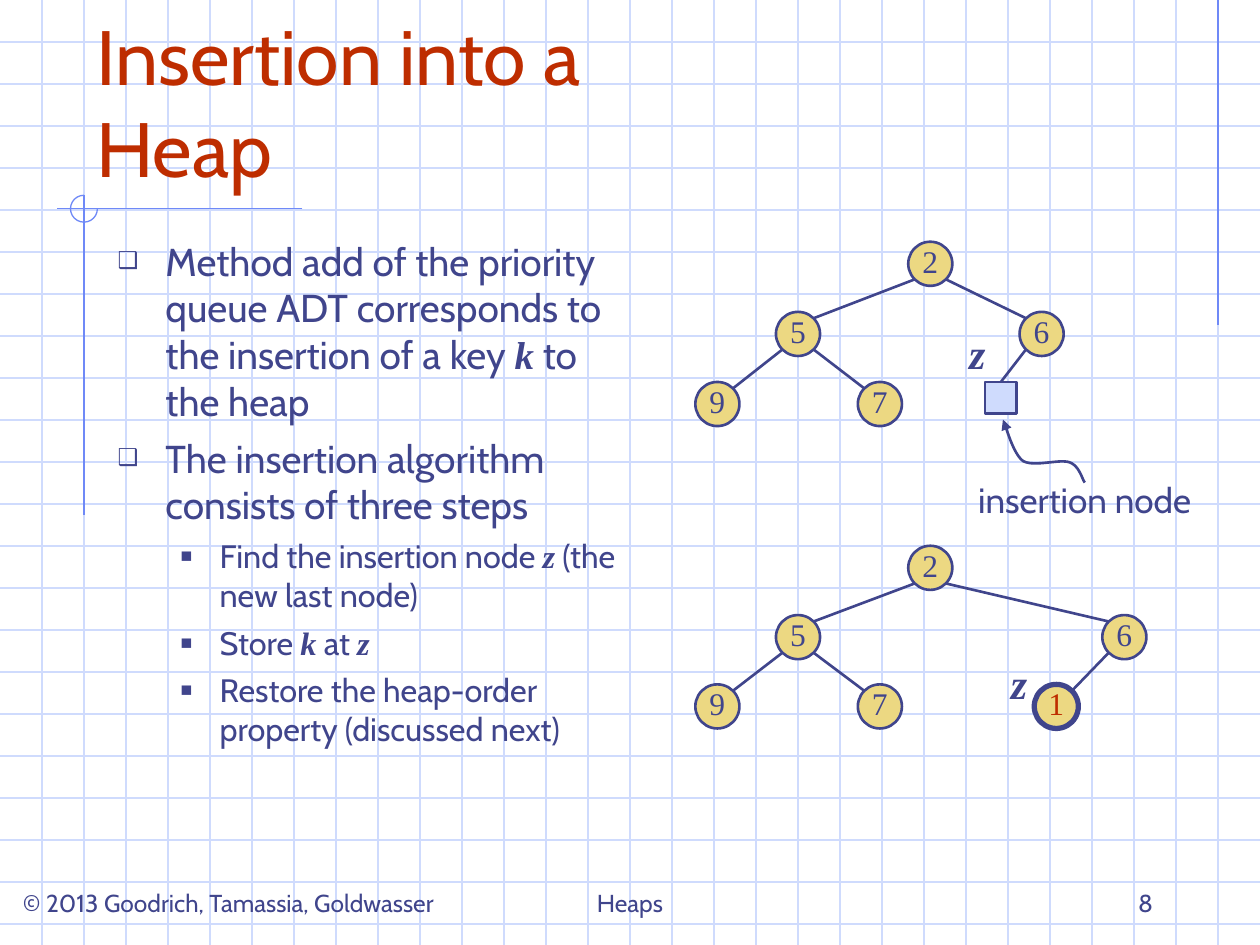
from lxml import etree
from pptx import Presentation
from pptx import util as u
from pptx.dml.color import RGBColor
from pptx.enum import shapes, text
from pptx.oxml import ns

CELL = u.Inches(1) / 3
COLUMNS, ROWS = 30, 22.5
NODE, SQUARE = 1.05, 0.75
INK = RGBColor(0x40, 0x45, 0x8C)
RED = RGBColor(0xBE, 0x2D, 0x00)
GOLD = RGBColor(0xEC, 0xD8, 0x82)
PALE = RGBColor(0xCF, 0xDB, 0xFD)
BLUE = RGBColor(0x6F, 0x89, 0xF7)
SANS, SERIF = "Cabin", "Times New Roman"


def cells(*values):
    """Turn grid cells into lengths."""
    return [u.Emu(round(value * CELL)) for value in values]


def add_run(paragraph, words, size, color=INK, font=SANS, emphasis=None):
    """Add one formatted run."""
    run = paragraph.add_run()
    run.text = words
    run.font.size, run.font.name = u.Pt(size), font
    run.font.color.rgb = color
    run.font.bold = run.font.italic = emphasis


def add_line(slide, start, end, color, width):
    """Draw a straight line between two grid points."""
    line = slide.shapes.add_connector(shapes.MSO_CONNECTOR.STRAIGHT, *cells(*start, *end))
    line.line.color.rgb, line.line.width = color, u.Pt(width)
    etree.SubElement(line._element.spPr, ns.qn("a:effectLst"))
    return line


def style_shape(shape, fill, color, width):
    """Set the fill and outline of a shape."""
    shape.shadow.inherit = False
    if fill is None:
        shape.fill.background()
    else:
        shape.fill.solid()
        shape.fill.fore_color.rgb = fill
    shape.line.color.rgb, shape.line.width = color, u.Pt(width)


def add_label(slide, box, words, size, align, anchor=text.MSO_ANCHOR.TOP, wrap=False, **style):
    """Write one line of text in a box."""
    frame = slide.shapes.add_textbox(*cells(*box)).text_frame
    frame.word_wrap, frame.vertical_anchor = wrap, anchor
    frame.paragraphs[0].alignment = align
    add_run(frame.paragraphs[0], words, size, **style)


def draw_background(slide):
    """Draw the graph paper and the corner ornaments."""
    for column in range(1, COLUMNS):
        add_line(slide, (column, 0), (column, ROWS), PALE, 0.75)
    for row in range(1, int(ROWS) + 1):
        add_line(slide, (0, row), (COLUMNS, row), PALE, 0.75)
    for start, end in (((29, 0), (29, 7.75)), ((7.2, 4.97), (1.35, 4.97)), ((2, 4.65), (2, 12.27))):
        add_line(slide, start, end, BLUE, 0.75)
    arc = slide.shapes.add_shape(shapes.MSO_SHAPE.ARC, *cells(1.68, 4.65, 0.64, 0.64))
    arc.adjustments[0], arc.adjustments[1] = 0, 162
    style_shape(arc, None, BLUE, 0.75)


def place_placeholder(slide, shape, box, anchor):
    """Bring a placeholder to the front of its box and return its text frame."""
    slide.shapes.element.append(shape.element)
    shape.left, shape.top, shape.width, shape.height = cells(*box)
    frame = shape.text_frame
    frame.auto_size, frame.vertical_anchor = text.MSO_AUTO_SIZE.NONE, anchor
    return frame


def write_title(slide, box):
    """Write the heading."""
    frame = place_placeholder(slide, slide.shapes.title, box, text.MSO_ANCHOR.BOTTOM)
    frame.paragraphs[0].alignment = text.PP_ALIGN.LEFT
    add_run(frame.paragraphs[0], "Insertion into a Heap", 44, RED)


def set_bullet(paragraph, mark, margin, hang):
    """Give a paragraph its bullet and hanging indent."""
    properties = paragraph._p.get_or_add_pPr()
    properties.set("marL", str(u.Inches(margin)))
    properties.set("indent", str(-u.Inches(hang)))
    color = etree.SubElement(properties, ns.qn("a:buClr"))
    etree.SubElement(color, ns.qn("a:srgbClr"), val=str(INK))
    etree.SubElement(properties, ns.qn("a:buSzPct"), val="60000")
    etree.SubElement(properties, ns.qn("a:buChar"), char=mark)


def write_body(slide, box):
    """Write the two-level list, with every second piece of an item as a variable."""
    items = [
        (0, ["Method add of the priority queue ADT corresponds to the insertion of a key ", "k", " to the heap"]),
        (0, ["The insertion algorithm consists of three steps"]),
        (1, ["Find the insertion node ", "z", " (the new last node)"]),
        (1, ["Store ", "k", " at ", "z"]),
        (1, ["Restore the heap-order property (discussed next)"]),
    ]
    levels = [("❑", 0.38, 0.38, 22.2, 6), ("■", 0.81, 0.31, 18.5, 5)]
    frame = place_placeholder(slide, slide.placeholders[1], box, text.MSO_ANCHOR.TOP)
    for index, (level, pieces) in enumerate(items):
        paragraph = frame.add_paragraph() if index else frame.paragraphs[0]
        mark, margin, hang, size, gap = levels[level]
        paragraph.level = level
        set_bullet(paragraph, mark, margin, hang)
        paragraph.space_before = u.Pt(gap if index else 0)
        for position, piece in enumerate(pieces):
            variable = position % 2 == 1
            add_run(paragraph, piece, size, font=SERIF if variable else SANS, emphasis=variable)


def draw_node(slide, center, key, color=INK, width=1.5):
    """Draw a round node with its key."""
    x, y = center
    node = slide.shapes.add_shape(
        shapes.MSO_SHAPE.OVAL, *cells(x - NODE / 2, y - NODE / 2, NODE, NODE))
    style_shape(node, GOLD, INK, width)
    frame = node.text_frame
    frame.margin_left = frame.margin_right = frame.margin_top = 0
    frame.margin_bottom = u.Inches(0.05)
    frame.word_wrap, frame.vertical_anchor = False, text.MSO_ANCHOR.MIDDLE
    frame.paragraphs[0].alignment = text.PP_ALIGN.CENTER
    add_run(frame.paragraphs[0], key, 18, color, SERIF)


def draw_tree(slide, origin, pitch, right_column, last_column, label, last_key=None):
    """Draw a heap whose last node is a key or, without one, an empty square."""
    left, top = origin
    places = {"2": (5.07, 0), "5": (1.92, 1), "6": (right_column, 1),
              "9": (0, 2), "7": (3.87, 2), "last": (last_column, 2)}
    centers = {key: (left + column, top + row * pitch) for key, (column, row) in places.items()}
    reach = NODE / 2 * 0.71
    edges = {}
    for parent, child in ("25", "26", "59", "57", ("6", "last")):
        (x1, y1), (x2, y2) = centers[parent], centers[child]
        shift = reach if x2 > x1 else -reach
        edges[child] = add_line(slide, (x1 + shift, y1 + reach), (x2 - shift, y2 - reach), INK, 1.5)
    x, y = centers.pop("last")
    for key, center in centers.items():
        draw_node(slide, center, key)
    if last_key:
        draw_node(slide, (x, y), last_key, RED, 3)
    else:
        square = slide.shapes.add_shape(
            shapes.MSO_SHAPE.RECTANGLE, *cells(x - SQUARE / 2, y - NODE / 2, SQUARE, SQUARE))
        style_shape(square, PALE, INK, 1.5)
        edges["last"].end_connect(square, 0)
    add_label(slide, (left + label[0], top + label[1], 1, 1.5), "z", 24,
              text.PP_ALIGN.CENTER, font=SERIF, emphasis=True)


def bezier(points, t):
    """Find the point at share t of a cubic curve."""
    weights = ((1 - t) ** 3, 3 * t * (1 - t) ** 2, 3 * t * t * (1 - t), t ** 3)
    return tuple(sum(w * point[axis] for w, point in zip(weights, points)) for axis in (0, 1))


def draw_callout(slide, left, top):
    """Draw the label of the insertion node and its curved arrow."""
    controls = [(3.15, 1.5), (3.09, 1.44), (3.03, 1.11), (2.79, 1.02), (2.55, 0.93),
                (1.95, 1.14), (1.68, 0.99), (1.44, 0.81), (1.29, 0.21), (1.2, 0)]
    curve = [bezier(controls[start:start + 4], step / 12)
             for start in (0, 3, 6) for step in range(1, 13)]
    points = [cells(left + x, top + y) for x, y in [controls[0]] + curve]
    builder = slide.shapes.build_freeform(*points[0])
    builder.add_line_segments(points[1:], close=False)
    arrow = builder.convert_to_shape()
    style_shape(arrow, None, INK, 1.5)
    etree.SubElement(arrow.line._get_or_add_ln(), ns.qn("a:tailEnd"), type="triangle")
    add_label(slide, (left, top + 1.26, 6.3, 1.32), "insertion node", 20, text.PP_ALIGN.CENTER)


def write_footer(slide, top, height):
    """Write the copyright line, the topic and the page number."""
    for left, width, words, align in (
            (0.25, 12.25, "© 2013 Goodrich, Tamassia, Goldwasser", text.PP_ALIGN.LEFT),
            (10.25, 9.5, "Heaps", text.PP_ALIGN.CENTER),
            (21.5, 6.25, "8", text.PP_ALIGN.RIGHT)):
        add_label(slide, (left, top, width, height), words, 14, align, text.MSO_ANCHOR.BOTTOM, True)


def main():
    """Build and save the slide."""
    presentation = Presentation()
    presentation.slide_width, presentation.slide_height = cells(COLUMNS, ROWS)
    slide = presentation.slides.add_slide(presentation.slide_layouts[1])
    draw_background(slide)
    write_title(slide, (2, 1, 16.5, 3.75))
    write_body(slide, (2.5, 5.5, 12.75, 15.25))
    draw_tree(slide, (17.08, 6.28), 1.67, 7.72, 6.75, (5.69, 1.37))
    draw_callout(slide, 22.68, 9.99)
    draw_tree(slide, (17.08, 13.52), 1.65, 9.69, 8.07, (6.68, 1.99), "1")
    write_footer(slide, 20.5, 1.5)
    presentation.save("out.pptx")


if __name__ == "__main__":
    main()
